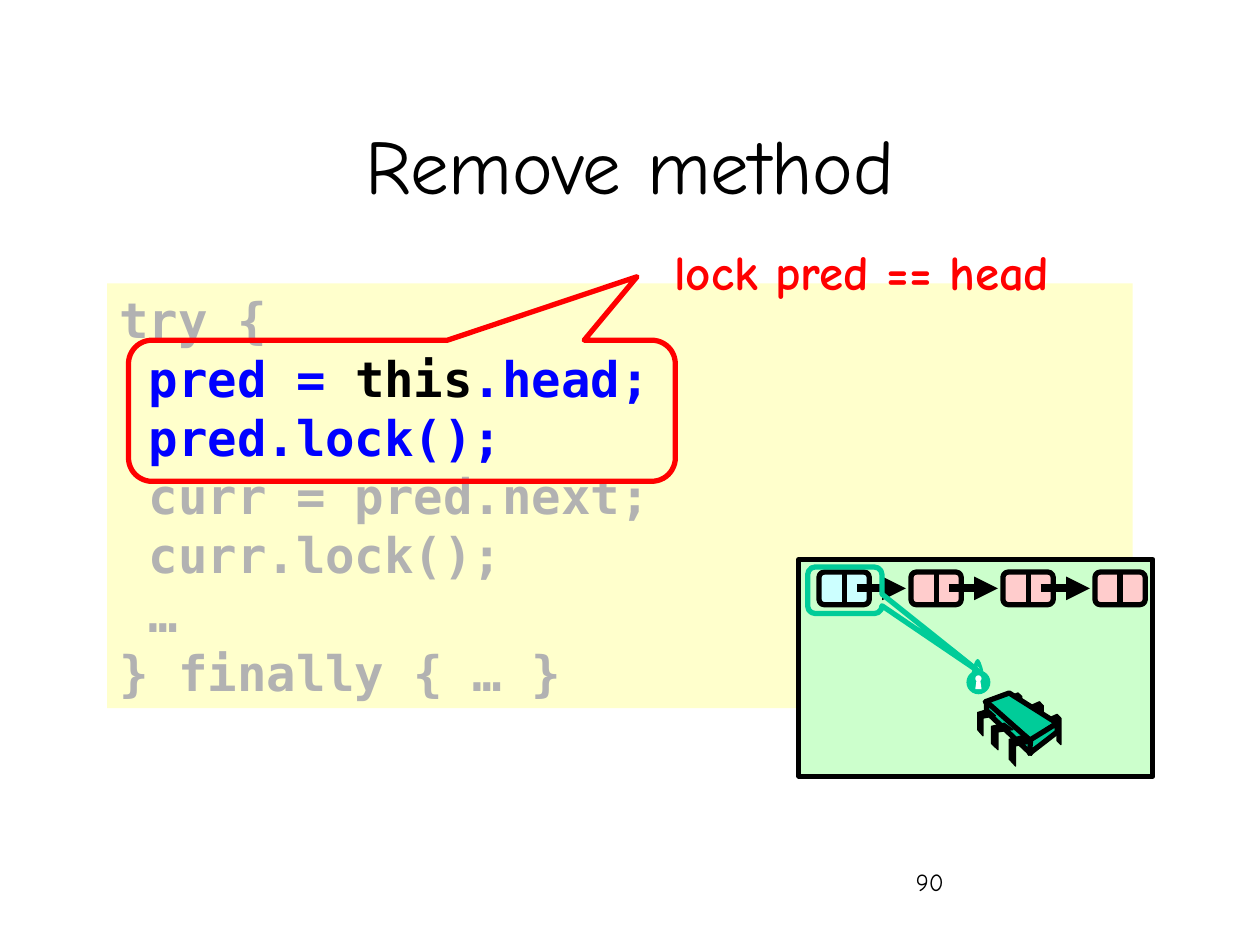
"""Build the "Remove method" slide: highlighted code and a locked linked list."""
import pptx
import pptx.dml.color
import pptx.enum.shapes
import pptx.enum.text
import pptx.oxml
import pptx.oxml.ns
import pptx.util

Inches, Pt = pptx.util.Inches, pptx.util.Pt
RGB = pptx.dml.color.RGBColor.from_string
MSO = pptx.enum.shapes.MSO_SHAPE
ALIGN = pptx.enum.text.PP_ALIGN
ANCHOR = pptx.enum.text.MSO_ANCHOR


class Theme:
    black, white, red, blue = "000000", "FFFFFF", "FF0000", "0000FF"
    gray, yellow, mint, green = "B2B2B2", "FFFFCC", "CCFFCC", "00CC99"
    cyan, pink = "CCFFFF", "FFCCCC"
    sans, mono = "Comic Neue", "DejaVu Sans Mono"
    title, body, space, number = Pt(44), Pt(28), Pt(32), Pt(14)
    code_pitch = Pt(33.6)
    hair, line, arrow = Pt(0.75), Pt(3), Pt(4.5)


def paint(sp, fill=None, line=None, width=Theme.line):
    sp.shadow.inherit = False
    if fill:
        sp.fill.solid()
        sp.fill.fore_color.rgb = RGB(fill)
    else:
        sp.fill.background()
    if line:
        sp.line.color.rgb = RGB(line)
        sp.line.width = width
    else:
        sp.line.fill.background()
    return sp


def outline(shapes, points, fill, line=None, width=Theme.line):
    points = [(Inches(x), Inches(y)) for x, y in points]
    fb = shapes.build_freeform(*points[0], scale=1.0)
    fb.add_line_segments(points[1:], close=True)
    return paint(fb.convert_to_shape(), fill, line, width)


prs = pptx.Presentation()
prs.slide_width, prs.slide_height = Inches(10), Inches(7.5)
s = prs.slides.add_slide(prs.slide_layouts[6])

code = [
    [("try {", Theme.gray)],
    [(" pred = ", Theme.blue), ("this", Theme.black), (".head;", Theme.blue)],
    [(" pred.lock();", Theme.blue)],
    [(" curr = pred.next;", Theme.gray)],
    [(" curr.lock();", Theme.gray)],
    [(" …", Theme.gray)],
    [("} finally { … }", Theme.gray)],
]
sp = s.shapes.add_shape(MSO.RECTANGLE, Inches(0.85), Inches(2.25), Inches(8.14), Inches(3.37))
paint(sp, Theme.yellow)
tf = sp.text_frame
tf.vertical_anchor = ANCHOR.TOP
for i, parts in enumerate(code):
    p = tf.add_paragraph() if i else tf.paragraphs[0]
    p.alignment = ALIGN.LEFT
    p.line_spacing = Theme.code_pitch
    p.font.name, p.font.size, p.font.bold = Theme.mono, Theme.body, True
    for text, color in parts:
        r = p.add_run()
        r.text = text
        r.font.color.rgb = RGB(color)

sp = s.shapes.add_shape(MSO.ROUNDED_RECTANGULAR_CALLOUT,
                        Inches(1.02), Inches(2.7), Inches(4.34), Inches(1.12))
sp.adjustments[0], sp.adjustments[1] = 0.43, -0.95
paint(sp, line=Theme.red)

labels = [
    ("Remove method", (0.75, 0.67, 8.5, 1.25), Theme.title, Theme.black, False, ALIGN.CENTER, ANCHOR.MIDDLE),
    ("lock pred == head", (4.86, 1.81, 4.12, 0.63), Theme.body, Theme.red, True, ALIGN.CENTER, ANCHOR.TOP),
    ("90", (7.17, 6.83, 2.08, 0.5), Theme.number, Theme.black, False, ALIGN.LEFT, ANCHOR.TOP),
]
for text, box, size, color, bold, align, anchor in labels:
    tf = s.shapes.add_textbox(*map(Inches, box)).text_frame
    tf.word_wrap, tf.vertical_anchor = True, anchor
    p = tf.paragraphs[0]
    p.alignment = align
    p.font.name, p.font.size, p.font.bold = Theme.sans, size, bold
    p.font.color.rgb = RGB(color)
    p.add_run().text = text
    if bold:
        r = p.add_run()
        r.text, r.font.size = " ", Theme.space

diagram = s.shapes.add_group_shape().shapes
sp = diagram.add_shape(MSO.RECTANGLE, Inches(6.34), Inches(4.44), Inches(2.81), Inches(1.72))
paint(sp, Theme.mint, Theme.black)

node_x = [6.5 + 0.73 * i for i in range(4)]
for x in node_x:
    sp = diagram.add_shape(MSO.ROUNDED_RECTANGLE, Inches(x), Inches(4.54), Inches(0.4), Inches(0.26))
    paint(sp, Theme.cyan if x == node_x[0] else Theme.pink, Theme.black)

dividers = [(x + 0.2, 4.54, x + 0.2, 4.8, Theme.line) for x in node_x]
links = [(x + 0.3, 4.67, x + 0.69, 4.67, Theme.arrow) for x in node_x[:-1]]
for *ends, width in dividers + links:
    cx = diagram.add_connector(pptx.enum.shapes.MSO_CONNECTOR.STRAIGHT, *map(Inches, ends))
    cx.line.color.rgb = RGB(Theme.black)
    cx.line.width = width
    if width == Theme.arrow:
        tail = pptx.oxml.parse_xml(f'<a:tailEnd {pptx.oxml.ns.nsdecls("a")} type="triangle"/>')
        cx.line._get_or_add_ln().append(tail)
    cx._element.spPr.append(pptx.oxml.parse_xml(f'<a:effectLst {pptx.oxml.ns.nsdecls("a")}/>'))

sp = diagram.add_shape(MSO.ROUNDED_RECTANGULAR_CALLOUT,
                       Inches(6.41), Inches(4.5), Inches(0.59), Inches(0.37))
sp.adjustments[0], sp.adjustments[1] = 1.81, 1.75
paint(sp, line=Theme.green)

for x, y, size, fill in [(7.67, 5.32, 0.19, Theme.green), (7.74, 5.36, 0.05, Theme.white)]:
    sp = diagram.add_shape(MSO.OVAL, Inches(x), Inches(y), Inches(size), Inches(size))
    paint(sp, fill)
outline(diagram, [(7.74, 5.47), (7.75, 5.4), (7.78, 5.4), (7.79, 5.47)], Theme.white)

shackle = []
steps = [i / 8 for i in range(9)]
for half, top, ts in [(0.03, 5.29, steps), (0.05, 5.23, steps[::-1])]:
    for t in ts:
        x = 7.76 + half * (2 * t - 1)
        shackle.append((x, 5.35 - (5.35 - top) * (1 - (2 * t - 1) ** 2)))
outline(diagram, shackle, Theme.green)

back_leg = [(0, 0.13), (0.7, 0), (1, 0.13), (1, 1), (0.7, 0.87), (0.7, 0.29), (0, 0.42)]
front_leg = [(0.59, 0), (1, 0.24), (0.3, 0.33), (0.3, 1), (0, 0.77), (0, 0.12)]
body = [
    [(8.01, 5.5), (8.39, 5.74), (8.18, 5.88), (7.82, 5.57)],
    [(7.83, 5.57), (8.18, 5.88), (8.18, 5.98), (7.83, 5.65)],
    [(8.39, 5.74), (8.39, 5.81), (8.17, 5.98), (8.18, 5.87)],
]
back_boxes = [(8.32, 5.67, 0.1, 0.24), (8.18, 5.57, 0.1, 0.24), (8.01, 5.5, 0.1, 0.21)]
front_boxes = [(8.01, 5.84, 0.17, 0.24), (7.87, 5.74, 0.17, 0.21), (7.76, 5.63, 0.14, 0.21)]
for leg, boxes, faces in [(back_leg, back_boxes, body), (front_leg, front_boxes, [])]:
    for x, y, w, h in boxes:
        points = [(x + u * w, y + v * h) for u, v in leg]
        outline(diagram, points, Theme.black, Theme.black, Theme.hair)
    for points in faces:
        outline(diagram, points, Theme.green, Theme.black)

prs.save("out.pptx")
